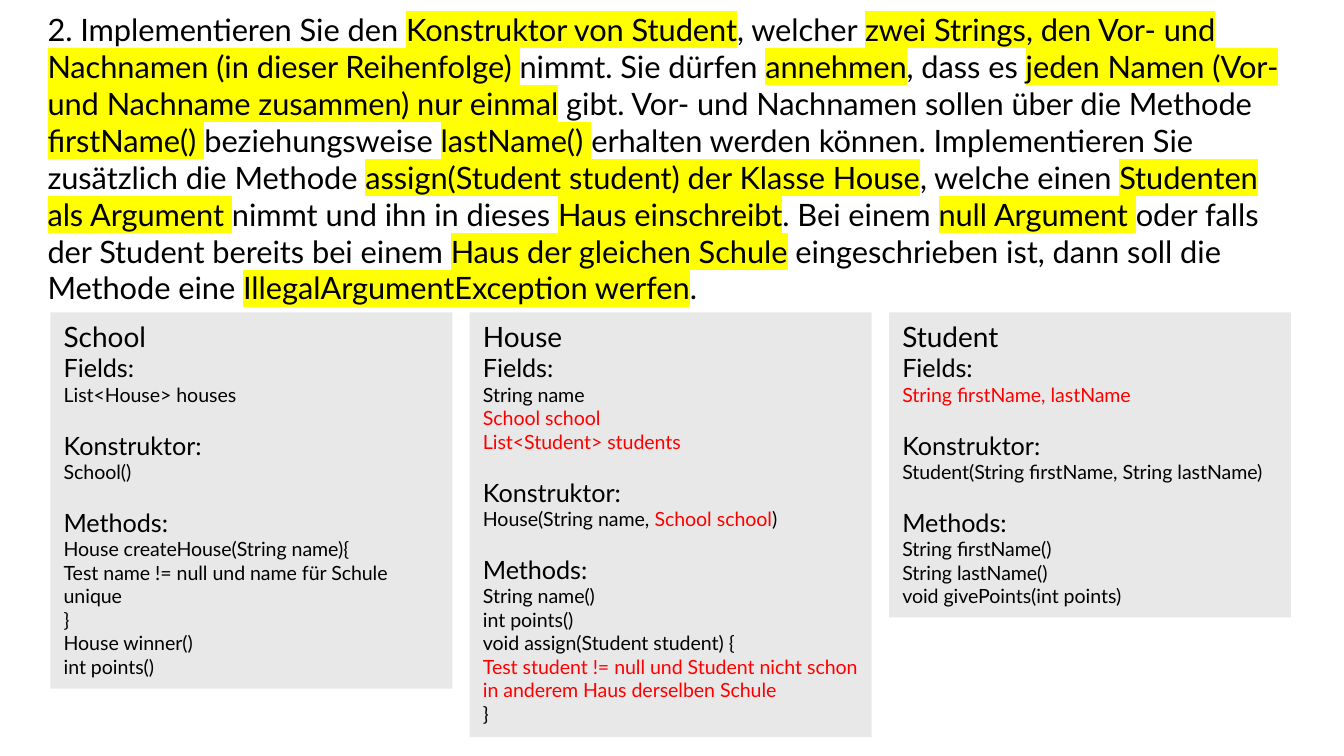
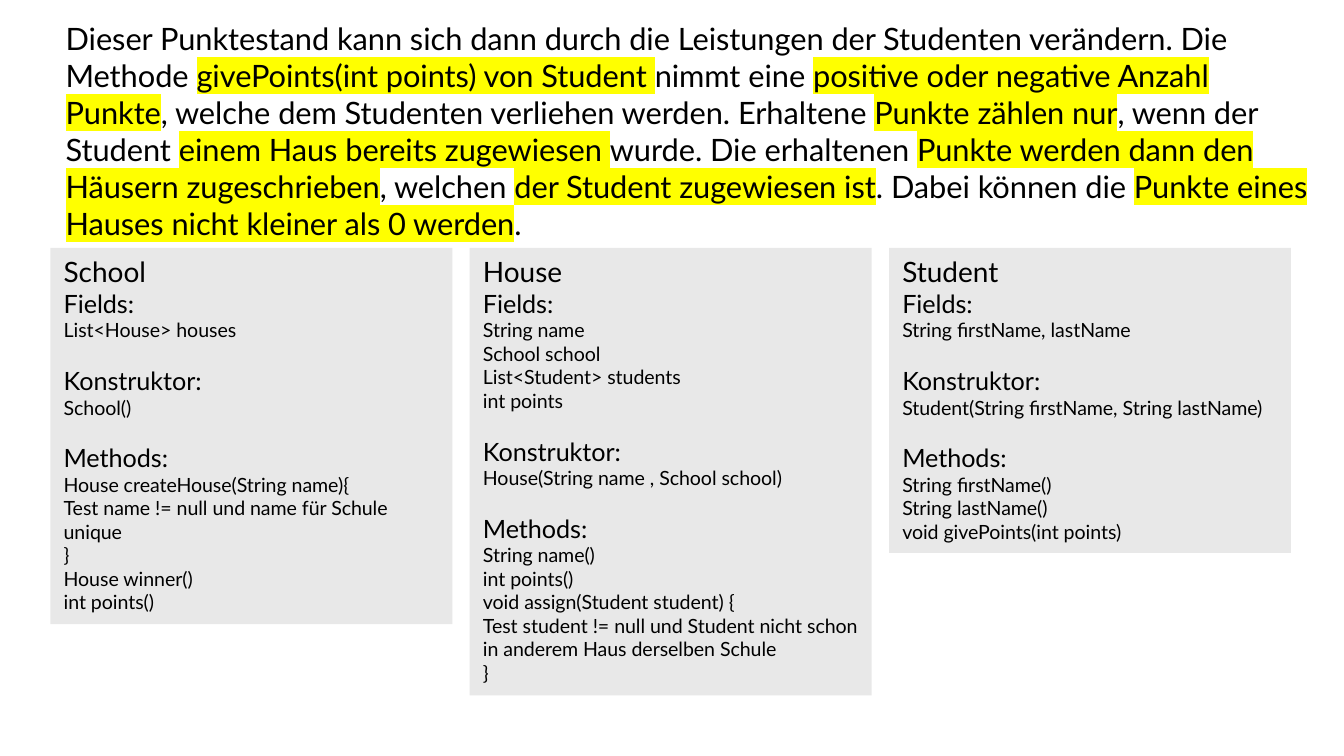
from lxml import etree
from pptx import Presentation
from pptx.dml.color import RGBColor
from pptx.enum.shapes import MSO_SHAPE
from pptx.enum.text import MSO_ANCHOR, MSO_AUTO_SIZE, PP_ALIGN
from pptx.oxml.ns import qn
from pptx.util import Pt

RECTANGLE = MSO_SHAPE.RECTANGLE
TOP = MSO_ANCHOR.TOP
LEFT = PP_ALIGN.LEFT
FIT_SHAPE = MSO_AUTO_SIZE.SHAPE_TO_FIT_TEXT

PX = 4572  # 200 px to the inch
SLIDE_WIDTH, SLIDE_HEIGHT = 2000, 1125
FONT = "Lato"
BLACK, RED, YELLOW, GREY = "000000", "FF0000", "FFFF00", "E8E8E8"
INTRO_SIZE, NAME_SIZE, HEADING_SIZE, CODE_SIZE = 16.5, 15, 13.5, 10.5
SECTION_GAP = 12.6
SECTIONS = ("Fields:", "Konstruktor:", "Methods:")
CARD_LEFT, CARD_WIDTH, CARD_STEP = 75, 598, 624
INTRO_WIDTH = 1898


def color(hex_string):
    return RGBColor.from_string(hex_string)


def add_marked_text(paragraph, text, size, marked_color=BLACK, highlight=None):
    """Write text as runs; parts between asterisks get the marked style."""
    paragraph.alignment = LEFT
    for index, part in enumerate(text.split("*")):
        if not part:
            continue
        marked = index % 2 == 1
        run = paragraph.add_run()
        run.text = part
        run.font.size = Pt(size)
        run.font.color.rgb = color(marked_color if marked else BLACK)
        run.font.name = FONT
        if marked and highlight:
            element = etree.Element(qn("a:highlight"))
            etree.SubElement(element, qn("a:srgbClr"), val=highlight)
            run.font._element.find(qn("a:latin")).addprevious(element)


# Each class: name, card height, then the lines of the three sections.
school = ("School", 560, ["List<House> houses"], ["School()"], [
    "House createHouse(String name){",
    "Test name != null und name für Schule unique",
    "}",
    "House winner()",
    "int points()",
])
house_methods = ["String name()", "int points()", "void assign(Student student) {"]
house_test = "Test student != null und Student nicht schon in anderem Haus derselben Schule"
student_constructor = ["Student(String firstName, String lastName)"]
student_methods = ["String firstName()", "String lastName()", "void givePoints(int points)"]

slides = [
    {
        "intro": "2. Implementieren Sie den *Konstruktor von Student*, welcher "
                 "*zwei Strings, den Vor- und Nachnamen (in dieser Reihenfolge) *nimmt. "
                 "Sie dürfen *annehmen*, dass es *jeden Namen (Vor-und Nachname zusammen) "
                 "nur einmal* gibt. Vor- und Nachnamen sollen über die Methode "
                 "*firstName() *beziehungsweise *lastName() *erhalten werden können. "
                 "Implementieren Sie zusätzlich die Methode "
                 "*assign(Student student) der Klasse House*, welche einen "
                 "*Studenten als Argument *nimmt und ihn in dieses *Haus einschreibt*. "
                 "Bei einem *null Argument *oder falls der Student bereits bei einem "
                 "*Haus der gleichen Schule* eingeschrieben ist, dann soll die Methode eine "
                 "*IllegalArgumentException werfen*.",
        "intro_box": (51, 6, 464),
        "card_top": 465,
        "classes": [
            school,
            ("House", 632,
             ["String name", "*School school*", "*List<Student> students*"],
             ["House(String name, *School school*)"],
             house_methods + [f"*{house_test}*", "}"]),
            ("Student", 454, ["*String firstName, lastName*"],
             student_constructor, student_methods),
        ],
    },
    {
        "intro": "Dieser Punktestand kann sich dann durch die Leistungen der Studenten "
                 "verändern. Die Methode *givePoints(int points) von Student *nimmt eine "
                 "*positive oder negative Anzahl Punkte*, welche dem Studenten verliehen "
                 "werden. Erhaltene *Punkte zählen nur*, wenn der Student "
                 "*einem Haus bereits zugewiesen *wurde. Die erhaltenen "
                 "*Punkte werden dann den Häusern zugeschrieben*, welchen "
                 "*der Student zugewiesen ist*. Dabei können die "
                 "*Punkte eines Hauses nicht kleiner als 0 werden*.",
        "intro_box": (78, 20, 354),
        "card_top": 369,
        "classes": [
            school,
            ("House", 666,
             ["String name", "School school", "List<Student> students", "int points"],
             ["House(String name , School school)"],
             house_methods + [house_test, "}"]),
            ("Student", 454, ["String firstName, lastName"],
             student_constructor, student_methods),
        ],
    },
]

presentation = Presentation()
presentation.slide_width = SLIDE_WIDTH * PX
presentation.slide_height = SLIDE_HEIGHT * PX

for content in slides:
    slide = presentation.slides.add_slide(presentation.slide_layouts[6])

    for column, (name, height, *section_lines) in enumerate(content["classes"]):
        card = slide.shapes.add_shape(
            RECTANGLE, (CARD_LEFT + column * CARD_STEP) * PX, content["card_top"] * PX,
            CARD_WIDTH * PX, height * PX)
        card.shadow.inherit = False
        card.fill.solid()
        card.fill.fore_color.rgb = color(GREY)
        card.line.fill.background()
        text_frame = card.text_frame
        text_frame.word_wrap = True
        text_frame.auto_size = FIT_SHAPE
        text_frame.vertical_anchor = TOP
        add_marked_text(text_frame.paragraphs[0], name, NAME_SIZE)
        for section, (heading, lines) in enumerate(zip(SECTIONS, section_lines)):
            paragraph = text_frame.add_paragraph()
            add_marked_text(paragraph, heading, HEADING_SIZE)
            if section > 0:
                paragraph.space_before = Pt(SECTION_GAP)
            for line in lines:
                add_marked_text(text_frame.add_paragraph(), line, CODE_SIZE, marked_color=RED)

    left, top, height = content["intro_box"]
    intro = slide.shapes.add_textbox(left * PX, top * PX, INTRO_WIDTH * PX, height * PX)
    intro.text_frame.word_wrap = True
    intro.text_frame.auto_size = FIT_SHAPE
    add_marked_text(intro.text_frame.paragraphs[0], content["intro"], INTRO_SIZE,
                    highlight=YELLOW)

presentation.save("out.pptx")
